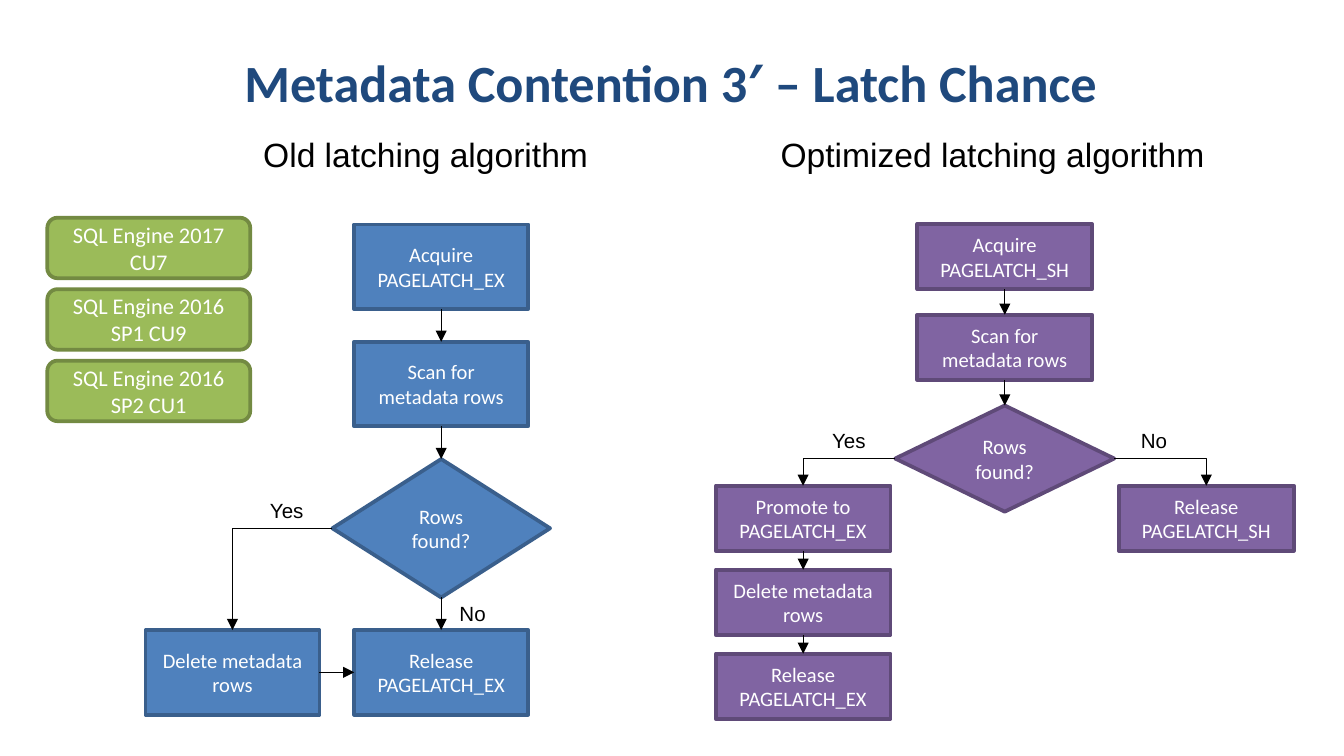
from dataclasses import dataclass
from itertools import pairwise

from lxml.etree import SubElement as Sub
from pptx import Presentation
from pptx.dml.color import RGBColor as Rgb
from pptx.enum.shapes import MSO_CONNECTOR as Conn, MSO_SHAPE as Kind
from pptx.enum.text import MSO_ANCHOR as Anchor, PP_ALIGN as Align
from pptx.oxml.ns import qn
from pptx.util import Inches, Pt


@dataclass(frozen=True)
class Theme:
    blue: tuple = ("4F81BD", "3A5F8C")  # fill, edge
    plum: tuple = ("8064A2", "5F4A78")
    green: tuple = ("9BBB59", "738A42")
    navy: str = "1F497D"
    black: str = "000000"
    white: str = "FFFFFF"
    main: str = "Calibri"
    plain: str = "Arial"
    title: int = 28
    head: int = 18
    badge: int = 12
    node: int = 11


TOP, LEFT, BASE, RIGHT = range(4)
COLS, ROWS = 100, 56.25  # a 16:9 slide in square cells
PROC, TEST = Kind.FLOWCHART_PROCESS, Kind.FLOWCHART_DECISION


def write(shape, text, size, font, color, bold=False, align=Align.LEFT,
          anchor=Anchor.TOP):
    frame = shape.text_frame
    frame.word_wrap = True
    frame.vertical_anchor = anchor
    para = frame.paragraphs[0]
    para.alignment = align
    run = para.add_run()
    run.text = text
    run.font.size = Pt(size)
    run.font.name = font
    run.font.bold = bold
    run.font.color.rgb = Rgb.from_string(color)


class Chart:
    """Style and slide; lengths are columns and rows of the grid."""

    def __init__(self, deck, theme):
        self.theme = theme
        self.slide = deck.slides.add_slide(deck.slide_layouts[6])
        self.unit = deck.slide_width / COLS

    def cells(self, *sizes):
        return [round(size * self.unit) for size in sizes]

    def label(self, text, x, y, wide, high, **look):
        style = dict(size=self.theme.node, font=self.theme.plain,
                     color=self.theme.black) | look
        box = self.slide.shapes.add_textbox(*self.cells(x, y, wide, high))
        write(box, text, **style)

    def node(self, text, mid, y, wide, high, tint, kind=PROC, size=None):
        """Filled shape centred on column mid."""
        shape = self.slide.shapes.add_shape(
            kind, *self.cells(mid - wide / 2, y, wide, high))
        fill, edge = tint
        shape.shadow.inherit = False
        shape.fill.solid()
        shape.fill.fore_color.rgb = Rgb.from_string(fill)
        shape.line.color.rgb = Rgb.from_string(edge)
        shape.line.width = Pt(2)
        write(shape, text, size or self.theme.node, self.theme.main,
              self.theme.white, align=Align.CENTER, anchor=Anchor.MIDDLE)
        return shape

    def arrow(self, start, end, out=BASE, into=TOP):
        bent = out != BASE and into == TOP
        line = self.slide.shapes.add_connector(
            Conn.ELBOW if bent else Conn.STRAIGHT, 0, 0, 0, 0)
        line.begin_connect(start, out)
        line.end_connect(end, into)
        line.line.color.rgb = Rgb.from_string(self.theme.black)
        line.line.width = Pt(0.5)
        props = line._element.spPr
        if bent:  # a single corner
            props.find(qn("a:prstGeom")).set("prst", "bentConnector2")
        Sub(props.find(qn("a:ln")), qn("a:tailEnd"), type="triangle")
        Sub(props, qn("a:effectLst"))

    def chain(self, *nodes):
        for pair in pairwise(nodes):
            self.arrow(*pair)


def heads(chart):
    look = chart.theme
    chart.label("Metadata Contention 3′ – Latch Chance", 3.54, 2.7, 92.7, 6.7,
                size=look.title, font=look.main, color=look.navy, bold=True,
                align=Align.CENTER, anchor=Anchor.MIDDLE)
    chart.label("Old latching algorithm", 18.6, 9.5, 32.2, 4, size=look.head)
    chart.label("Optimized latching algorithm", 57.1, 9.5, 37.1, 4,
                size=look.head)


def badges(chart):
    names = ["2017 CU7", "2016 SP1 CU9", "2016 SP2 CU1"]
    for i, name in enumerate(names):
        chart.node(f"SQL Engine {name}", 11.07, 16.2 + 5.32 * i, 15.1, 4.5,
                   chart.theme.green, Kind.ROUNDED_RECTANGLE,
                   chart.theme.badge)


def old(chart):
    tint, mid, side, top, step = chart.theme.blue, 32.83, 17.3, 16.7, 8.73
    size = 12.95, 6.3
    first = chart.node("Acquire PAGELATCH_EX", mid, top, *size, tint)
    scan = chart.node("Scan for metadata rows", mid, top + step, *size, tint)
    test = chart.node("Rows found?", mid, top + 2 * step, 16.2, 10.3, tint,
                      TEST)
    wipe = chart.node("Delete metadata rows", side, 46.88, *size, tint)
    free = chart.node("Release PAGELATCH_EX", mid, 46.88, *size, tint)
    chart.chain(first, scan, test, free)
    chart.arrow(test, wipe, LEFT)
    chart.arrow(wipe, free, RIGHT, LEFT)
    chart.label("Yes", 19.1, 36.6, 6.5, 2.7)
    chart.label("No", 33.2, 44.2, 6.5, 2.7)


def new(chart):
    tint, mid, gap, top, step = chart.theme.plum, 74.76, 15, 16.67, 6.75
    size = 13, 4.85
    first = chart.node("Acquire PAGELATCH_SH", mid, top, *size, tint)
    scan = chart.node("Scan for metadata rows", mid, top + step, *size, tint)
    test = chart.node("Rows found?", mid, top + 2 * step, 16.3, 7.9, tint,
                      TEST)
    chart.chain(first, scan, test)
    # Yes branch
    tasks = ["Promote to PAGELATCH_EX", "Delete metadata rows",
             "Release PAGELATCH_EX"]
    yes = [chart.node(task, mid - gap, 36.14 + 6.25 * i, *size, tint)
           for i, task in enumerate(tasks)]
    chart.chain(*yes)
    chart.arrow(test, yes[0], LEFT)
    chart.label("Yes", 60.93, 31.33, 6.5, 2.1)
    # No branch
    free = chart.node("Release PAGELATCH_SH", mid + gap, 36.14, *size, tint)
    chart.arrow(test, free, RIGHT)
    chart.label("No", 83.9, 31.33, 6.5, 2.1)


def main():
    deck = Presentation()
    deck.slide_width = Inches(10)
    deck.slide_height = round(deck.slide_width * ROWS / COLS)
    chart = Chart(deck, Theme())
    for part in (heads, old, new, badges):
        part(chart)
    deck.save("out.pptx")


if __name__ == "__main__":
    main()
